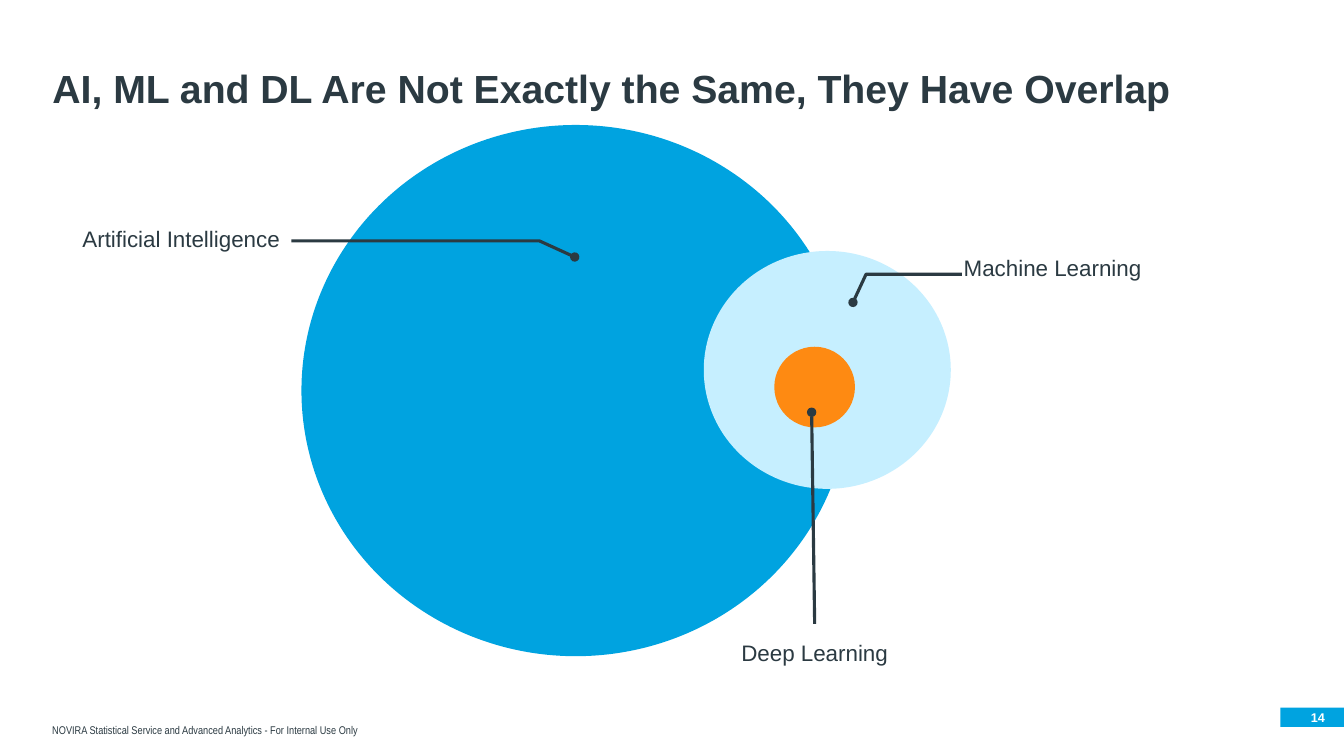
from collections import namedtuple

from lxml import etree
from pptx import Presentation
from pptx.dml.color import RGBColor
from pptx.enum.shapes import MSO_CONNECTOR, MSO_SHAPE
from pptx.enum.text import MSO_ANCHOR, MSO_AUTO_SIZE, PP_ALIGN
from pptx.oxml.ns import qn
from pptx.util import Inches, Pt

OVAL, RECTANGLE = MSO_SHAPE.OVAL, MSO_SHAPE.RECTANGLE
STRAIGHT = MSO_CONNECTOR.STRAIGHT
MIDDLE, BOTTOM = MSO_ANCHOR.MIDDLE, MSO_ANCHOR.BOTTOM
LEFT, CENTER, RIGHT = PP_ALIGN.LEFT, PP_ALIGN.CENTER, PP_ALIGN.RIGHT
NO_AUTOFIT = MSO_AUTO_SIZE.NONE

COLORS = {
    "ink": "2B3A42",
    "blue": "00A3E0",
    "pale": "C6EFFF",
    "orange": "FE8A12",
    "white": "FFFFFF",
}
TITLE_FORMAT = {"name": "Arial", "size": Pt(28), "bold": True}
LABEL_FORMAT = {"name": "Arial", "size": Pt(16)}
FOOTER_FORMAT = {"name": "Arial Narrow", "size": Pt(8)}
NUMBER_FORMAT = {"name": "Arial", "size": Pt(9), "bold": True}

CELL = 0.1  # side of a diagram grid cell, in inches
Box = namedtuple("Box", "left top width height")

# Columns and rows counted from the top left of the diagram box
CIRCLES = [
    ("blue", Box(22.9, 0.4, 54.4, 52.7)),
    ("pale", Box(62.8, 12.9, 24.5, 23.6)),
    ("orange", Box(69.8, 22.4, 8, 8)),
]
LABELS = [
    ("Artificial Intelligence", LEFT, Box(0.2, 9.8, 21.7, 3.7)),
    ("Deep Learning", CENTER, Box(51.8, 50.9, 44, 3.7)),
    ("Machine Learning", LEFT, Box(87.6, 12.7, 24.8, 3.7)),
]
LEADERS = [
    [(21.9, 11.9), (46.5, 11.9), (50, 13.5)],
    [(88.4, 15.2), (75.9 + 3, 15.2), (77.6, 18)],
    [(73.8, 49.9), (73.5, 28.9)],
]


def color(name):
    return RGBColor.from_string(COLORS[name])


def inches(box):
    return [Inches(length) for length in box]


def on_grid(box, cells):
    return Box(box.left + cells.left * CELL, box.top + cells.top * CELL,
               cells.width * CELL, cells.height * CELL)


def write(shape, text, font_format, color_name="ink", align=LEFT, **frame_format):
    frame = shape.text_frame
    for name, value in {"word_wrap": True, "auto_size": NO_AUTOFIT, **frame_format}.items():
        setattr(frame, name, value)
    paragraph = frame.paragraphs[0]
    paragraph.text = text
    paragraph.alignment = align
    for name, value in font_format.items():
        setattr(paragraph.font, name, value)
    paragraph.font.color.rgb = color(color_name)
    return paragraph


def add_filled(slide, kind, box, color_name):
    shape = slide.shapes.add_shape(kind, *inches(box))
    shape.shadow.inherit = False
    shape.fill.solid()
    shape.fill.fore_color.rgb = color(color_name)
    shape.line.fill.background()
    return shape


def add_leader(slide, points):
    """Draw a line from a label to a dot; a bent one becomes a freeform."""
    points = [(Inches(x), Inches(y)) for x, y in points]
    if len(points) == 2:
        leader = slide.shapes.add_connector(STRAIGHT, *points[0], *points[1])
    else:
        builder = slide.shapes.build_freeform(*points[0])
        builder.add_line_segments(points[1:], close=False)
        leader = builder.convert_to_shape()
        leader.fill.background()
    leader.line.color.rgb = color("ink")
    leader.line.width = Pt(2.25)
    properties = leader.element.spPr
    etree.SubElement(properties.find(qn("a:ln")), qn("a:tailEnd"), type="oval")
    etree.SubElement(properties, qn("a:effectLst"))


def add_title(slide, box):
    title = slide.shapes.title
    title.left, title.top, title.width, title.height = inches(box)
    paragraph = write(title, "AI, ML and DL Are Not Exactly the Same, They Have Overlap",
                      TITLE_FORMAT, vertical_anchor=BOTTOM)
    paragraph.line_spacing = 0.9


def add_diagram(slide, box):
    for color_name, cells in CIRCLES:
        add_filled(slide, OVAL, on_grid(box, cells), color_name)
    for leader in LEADERS:
        add_leader(slide, [(box.left + column * CELL, box.top + row * CELL)
                           for column, row in leader])
    for text, align, cells in LABELS:
        label = slide.shapes.add_textbox(*inches(on_grid(box, cells)))
        write(label, text, LABEL_FORMAT, align=align)


def add_footer(slide, box):
    note = add_filled(slide, RECTANGLE, box._replace(width=9.97), "white")
    write(note, "NOVIRA Statistical Service and Advanced Analytics - For Internal Use Only",
          FOOTER_FORMAT, vertical_anchor=BOTTOM)
    tab_width = 0.63
    tab = Box(box.left + box.width - tab_width, box.top + 0.03, tab_width, 0.19)
    number = add_filled(slide, RECTANGLE, tab, "blue")
    write(number, "14", NUMBER_FORMAT, "white", RIGHT, vertical_anchor=MIDDLE,
          margin_left=0, margin_top=0, margin_right=Inches(0.19), margin_bottom=0)


def main():
    presentation = Presentation()
    presentation.slide_width = Inches(13.33)
    presentation.slide_height = Inches(7.5)
    slide = presentation.slides.add_slide(presentation.slide_layouts.get_by_name("Title Only"))
    add_title(slide, Box(0.42, 0.32, 12.4, 0.84))
    add_footer(slide, Box(0.42, 6.99, 12.91, 0.37))
    add_diagram(slide, Box(0.7, 1.2, 11.3, 5.5))
    presentation.save("out.pptx")


if __name__ == "__main__":
    main()
